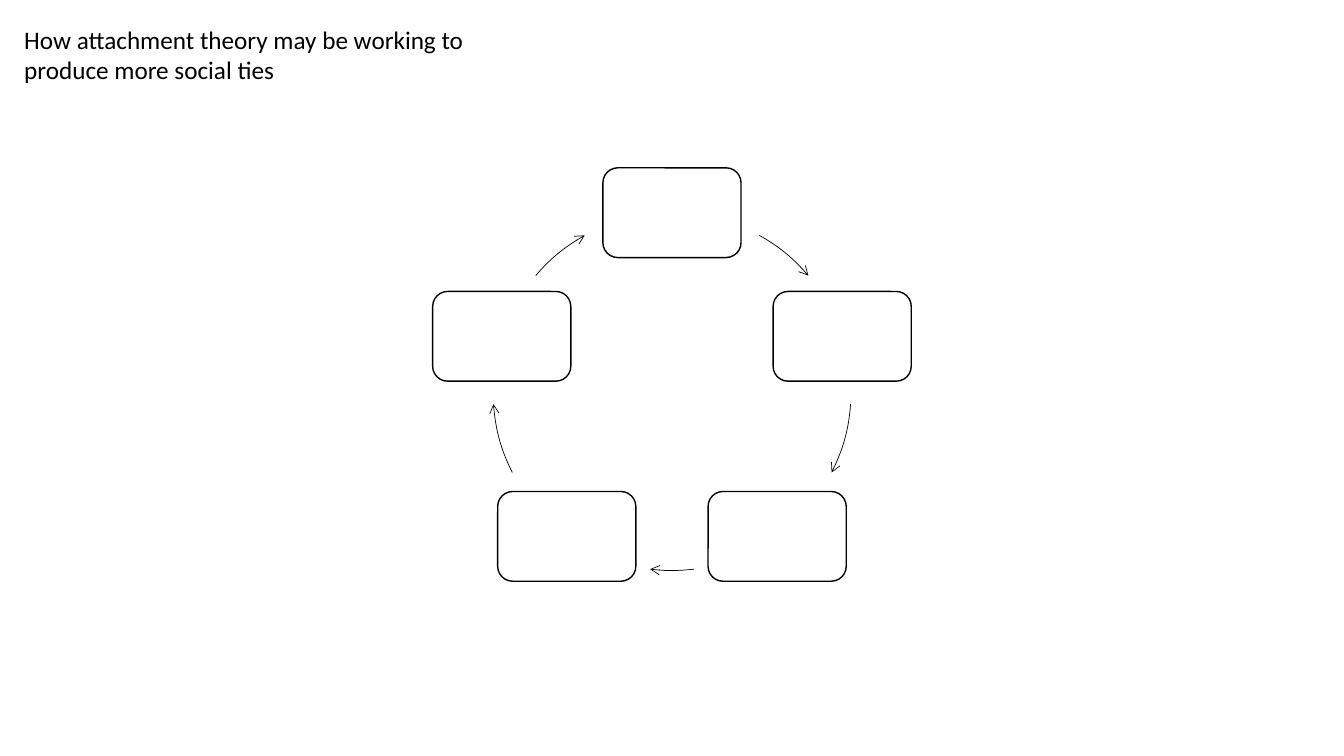
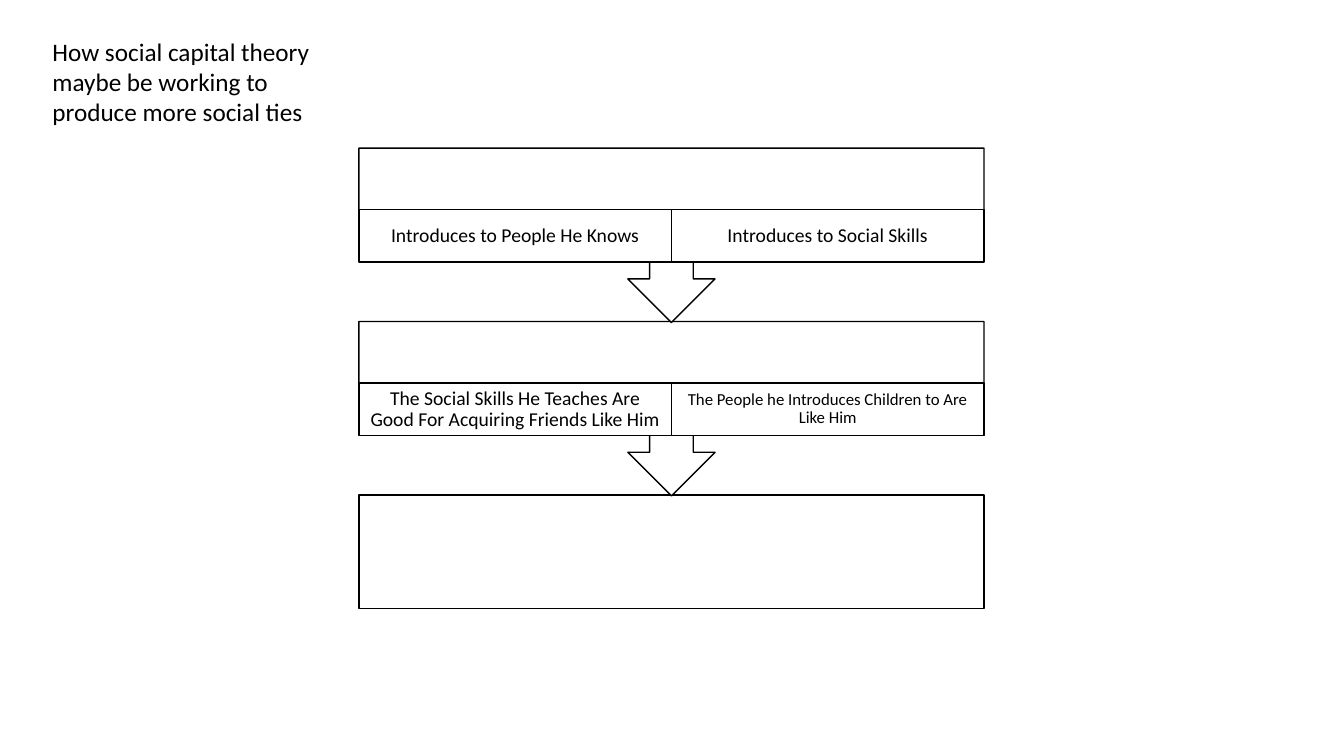
from math import cos, radians, sin

from lxml.etree import SubElement
from pptx import Presentation
from pptx.dml.color import RGBColor
from pptx.enum.shapes import MSO_SHAPE as SHAPE
from pptx.enum.text import MSO_ANCHOR as ANCHOR, MSO_AUTO_SIZE as AUTO_SIZE, PP_ALIGN as ALIGN
from pptx.oxml.ns import qn
from pptx.util import Inches, Pt

BLACK, WHITE = "000000", "FFFFFF"
FONT = "Calibri"

prs = Presentation()
prs.slide_width, prs.slide_height = Inches(13.33), Inches(7.5)


def add_titled_slide(text, left, top, width, height):
    slide = prs.slides.add_slide(prs.slide_layouts[5])
    title = slide.shapes.title
    title.left, title.top = Inches(left), Inches(top)
    title.width, title.height = Inches(width), Inches(height)
    frame = title.text_frame
    frame.text = text
    frame.word_wrap = True
    frame.auto_size = AUTO_SIZE.NONE
    frame.vertical_anchor = ANCHOR.TOP
    paragraph = frame.paragraphs[0]
    paragraph.alignment = ALIGN.LEFT
    paragraph.font.name, paragraph.font.size = FONT, Pt(18)
    paragraph.font.color.rgb = RGBColor.from_string(BLACK)
    return slide


def add_outlined(slide, kind, left, top, width, height, fill=WHITE, weight=1):
    shape = slide.shapes.add_shape(
        kind, Inches(left), Inches(top), Inches(width), Inches(height))
    shape.shadow.inherit = False
    if fill:
        shape.fill.solid()
        shape.fill.fore_color.rgb = RGBColor.from_string(fill)
    else:
        shape.fill.background()
    shape.line.color.rgb = RGBColor.from_string(BLACK)
    shape.line.width = Pt(weight)
    return shape


# Slide 1: cycle of five steps on a circle
cycle = add_titled_slide("How attachment theory may be working to produce more social ties",
                         0.14, 0.19, 4.95, 0.71)
center_x, center_y, radius = 6.665, 3.885, 1.775
step_w, step_h = 1.37, 0.89
# Start and end angle of the arc after each step, clockwise from the right
arc_angles = [(299.2, 319.6), (4, 26.9), (83, 97), (153.1, 176), (220.4, 240.8)]

for i, angles in enumerate(arc_angles):
    position = radians(-90 + i * 360 / len(arc_angles))
    add_outlined(cycle, SHAPE.ROUNDED_RECTANGLE,
                 center_x + radius * cos(position) - step_w / 2,
                 center_y + radius * sin(position) - step_h / 2, step_w, step_h)
    arc = add_outlined(cycle, SHAPE.ARC, center_x - radius, center_y - radius,
                       2 * radius, 2 * radius, fill=None, weight=0.5)
    for n, angle in enumerate(angles):
        arc.adjustments[n] = angle * 0.6  # 60000 units per degree, scaled by 100000
    SubElement(arc.line._get_or_add_ln(), qn("a:tailEnd"), type="arrow")

# Slide 2: stages joined by arrows, built from the bottom up
process = add_titled_slide("How social capital theory maybe be working to produce more social ties",
                           0.42, 0.31, 2.88, 1.01)
stage_left, stage_top, stage_w, stage_h = 3.56, 1.47, 6.2, 1.13
stage_pitch, callout_h = 1.72, 1.73
cell_offset, cell_h = 0.61, 0.52
stages = [
    [("Introduces to People He Knows", 14), ("Introduces to Social Skills", 14)],
    [("The Social Skills He Teaches Are Good For Acquiring Friends Like Him", 14),
     ("The People he Introduces Children to Are Like Him", 12)],
    [],
]

for row, details in reversed(list(enumerate(stages))):
    top = stage_top + row * stage_pitch
    if not details:
        add_outlined(process, SHAPE.RECTANGLE, stage_left, top, stage_w, stage_h)
        continue
    add_outlined(process, SHAPE.DOWN_ARROW_CALLOUT, stage_left, top, stage_w, callout_h)
    cell_w = stage_w / len(details)
    for column, (text, size) in enumerate(details):
        cell = add_outlined(process, SHAPE.RECTANGLE, stage_left + column * cell_w,
                            top + cell_offset, cell_w, cell_h)
        frame = cell.text_frame
        frame.text = text
        frame.word_wrap = True
        frame.vertical_anchor = ANCHOR.MIDDLE
        frame.margin_left = frame.margin_right = Inches(size / 14 * 0.11)
        frame.margin_top = frame.margin_bottom = Inches(0.02)
        paragraph = frame.paragraphs[0]
        paragraph.alignment = ALIGN.CENTER
        paragraph.line_spacing = 0.9
        paragraph.font.name, paragraph.font.size = FONT, Pt(size)
        paragraph.font.color.rgb = RGBColor.from_string(BLACK)

prs.save("out.pptx")
